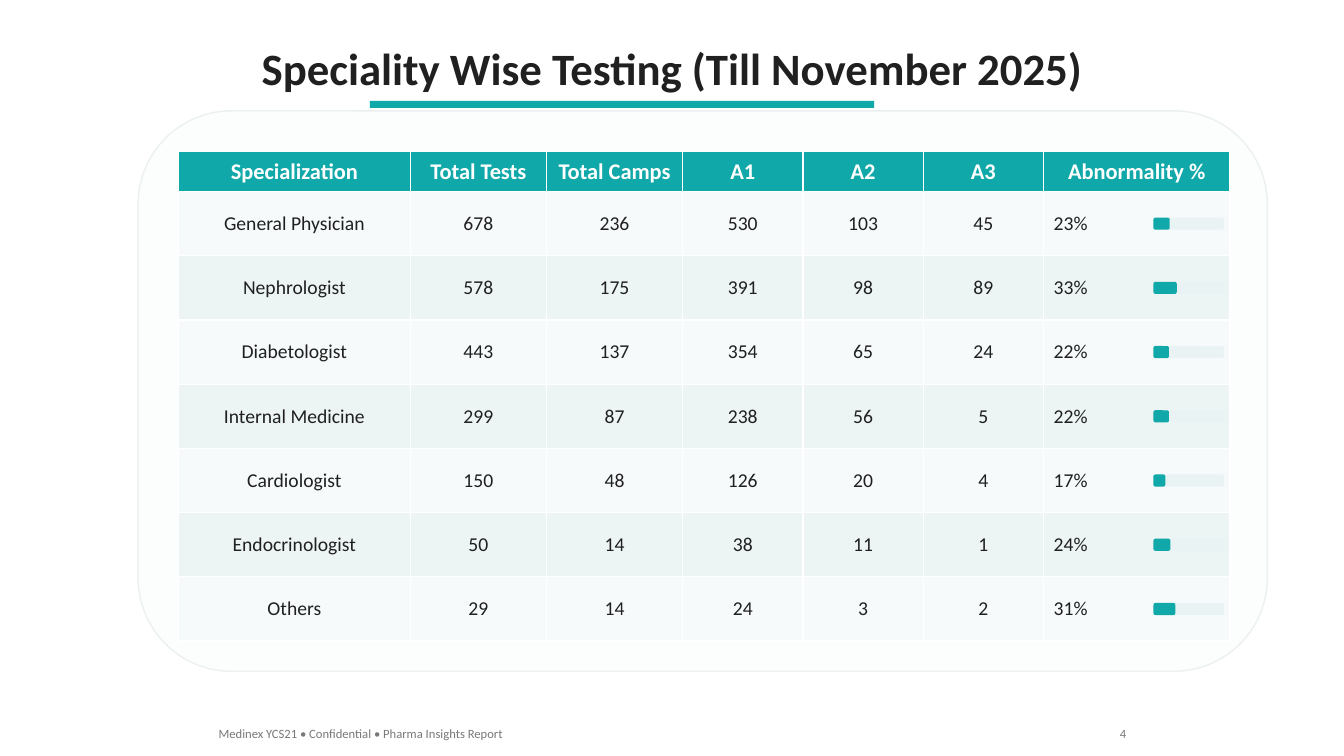
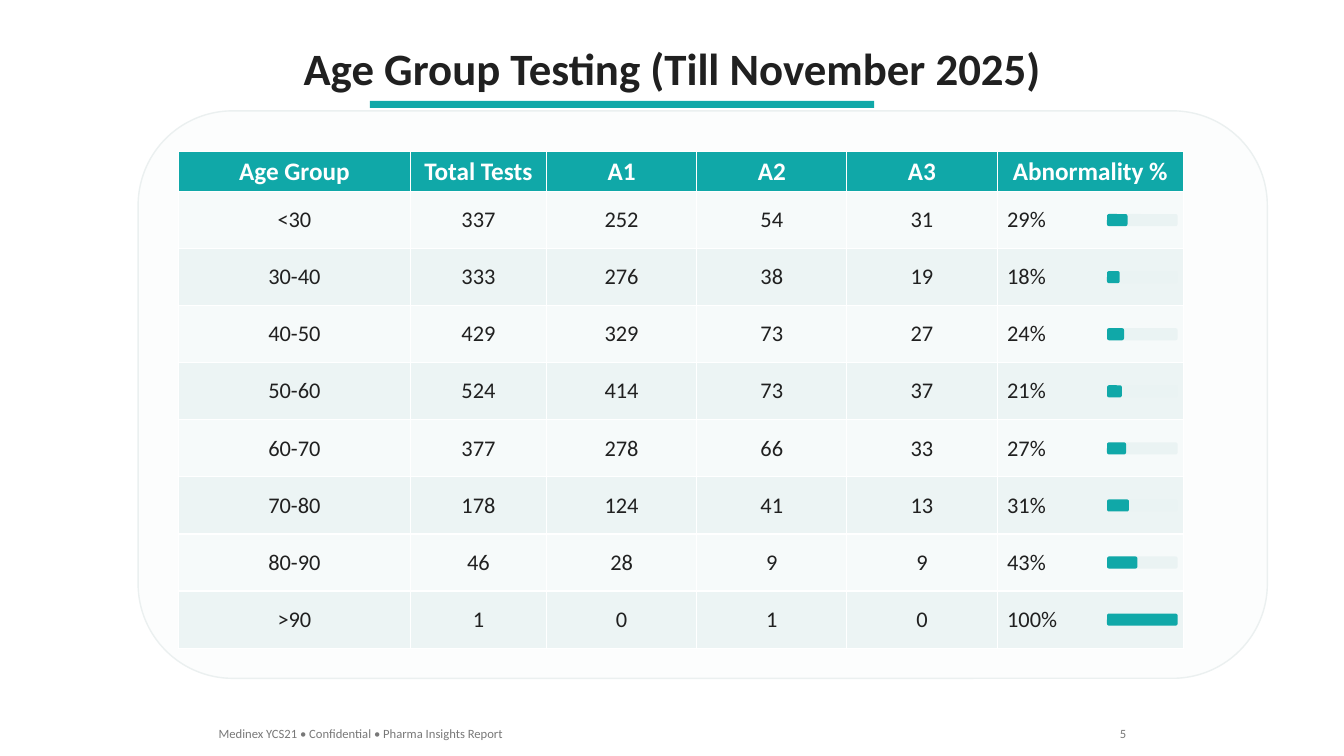
from dataclasses import dataclass

from pptx import Presentation
from pptx.dml.color import RGBColor
from pptx.enum.shapes import MSO_SHAPE
from pptx.enum.text import MSO_ANCHOR, PP_ALIGN
from pptx.util import Inches, Pt

RECT = MSO_SHAPE.RECTANGLE
ROUND = MSO_SHAPE.ROUNDED_RECTANGLE
LEFT, MID, RIGHT = PP_ALIGN.LEFT, PP_ALIGN.CENTER, PP_ALIGN.RIGHT
CENTRE = MSO_ANCHOR.MIDDLE


@dataclass(frozen=True)
class Theme:
    font: str = "Calibri"
    teal: str = "10A8A8"
    ink: str = "202020"
    white: str = "FFFFFF"
    grey: str = "787878"
    card: str = "FCFDFD"
    edge: str = "EBF0F0"
    track: str = "EAF3F3"
    bands: tuple = ("F6FAFA", "ECF4F4")
    title: int = 32
    foot: int = 9


class Deck:
    wide, high = 13.33, 7.5
    left, top, head = 1.77, 1.5, 0.4
    pad = 0.4

    def __init__(self, theme):
        self.theme = theme
        self.prs = Presentation()
        self.prs.slide_width = Inches(self.wide)
        self.prs.slide_height = Inches(self.high)
        self.slide = None

    def run(self, para, text, size, color, bold=False, align=LEFT):
        para.alignment = align
        run = para.add_run()
        run.text = text
        font = run.font
        font.name, font.size, font.bold = self.theme.font, Pt(size), bold
        font.color.rgb = RGBColor.from_string(color)

    def text(self, box, text, size, color, bold=False, align=LEFT):
        shape = self.slide.shapes.add_textbox(*map(Inches, box))
        frame = shape.text_frame
        frame.word_wrap = True
        self.run(frame.paragraphs[0], text, size, color, bold, align)

    def shape(self, kind, box, fill, line=None):
        shape = self.slide.shapes.add_shape(kind, *map(Inches, box))
        shape.shadow.inherit = False
        shape.fill.solid()
        shape.fill.fore_color.rgb = RGBColor.from_string(fill)
        if line:
            shape.line.color.rgb = RGBColor.from_string(line)
            shape.line.width = Pt(1)
        else:
            shape.line.fill.background()

    def page(self, title, number):
        look = self.theme
        self.slide = self.prs.slides.add_slide(self.prs.slide_layouts[6])
        self.text((1.67, 0.35, 10, 0.64), title, look.title, look.ink, True, MID)
        self.shape(RECT, (3.67, 1, 5, 0.07), look.teal)
        self.text((2.07, 7.15, 4, 0.25),
                  "Medinex YCS21 • Confidential • Pharma Insights Report",
                  look.foot, look.grey)
        self.text((10.27, 7.15, 1, 0.25), str(number), look.foot, look.grey,
                  align=RIGHT)

    def panel(self, body):
        look = self.theme
        self.shape(ROUND, (self.left - self.pad, self.top - self.pad, 11.2,
                           self.head + body + 0.7), look.card, look.edge)

    def cell(self, cell, text, fill, size, color, bold, align):
        cell.fill.solid()
        cell.fill.fore_color.rgb = RGBColor.from_string(fill)
        cell.vertical_anchor = CENTRE
        self.run(cell.text_frame.paragraphs[0], text, size, color, bold, align)

    def table(self, names, rows, cols, body, size):
        look = self.theme
        step = body / len(rows)
        grid = self.slide.shapes.add_table(
            len(rows) + 1, len(cols), Inches(self.left), Inches(self.top),
            Inches(sum(cols)), Inches(self.head + body)).table
        for col, width in zip(grid.columns, cols):
            col.width = Inches(width)
        for i, row in enumerate(grid.rows):
            row.height = Inches(step if i else self.head)
        for j, name in enumerate(names):
            self.cell(grid.cell(0, j), name, look.teal, size + 2, look.white,
                      True, MID)
        for i, row in enumerate(rows):
            for j, value in enumerate(row):
                last = j == len(row) - 1
                self.cell(grid.cell(i + 1, j), f"{value}%" if last else str(value),
                          look.bands[i % 2], size, look.ink, False,
                          LEFT if last else MID)

    def bars(self, rates, right, body):
        look = self.theme
        full, thick = 0.7, 0.12
        step = body / len(rates)
        for i, rate in enumerate(rates):
            top = self.top + self.head + i * step + (step - thick) / 2
            if rate < 100:
                self.shape(ROUND, (right - 0.76, top, full, thick), look.track)
            self.shape(ROUND, (right - 0.76, top, full * rate / 100, thick),
                       look.teal)

    def report(self, title, number, names, rows, cols, body, size):
        self.page(title, number)
        self.panel(body)
        self.table(names, rows, cols, body, size)
        self.bars([row[-1] for row in rows], self.left + sum(cols), body)


FIELDS = [
    ("General Physician", 678, 236, 530, 103, 45, 23),
    ("Nephrologist", 578, 175, 391, 98, 89, 33),
    ("Diabetologist", 443, 137, 354, 65, 24, 22),
    ("Internal Medicine", 299, 87, 238, 56, 5, 22),
    ("Cardiologist", 150, 48, 126, 20, 4, 17),
    ("Endocrinologist", 50, 14, 38, 11, 1, 24),
    ("Others", 29, 14, 24, 3, 2, 31),
]
AGES = [
    ("<30", 337, 252, 54, 31, 29),
    ("30-40", 333, 276, 38, 19, 18),
    ("40-50", 429, 329, 73, 27, 24),
    ("50-60", 524, 414, 73, 37, 21),
    ("60-70", 377, 278, 66, 33, 27),
    ("70-80", 178, 124, 41, 13, 31),
    ("80-90", 46, 28, 9, 9, 43),
    (">90", 1, 0, 1, 0, 100),
]
GRADES = ["A1", "A2", "A3", "Abnormality %"]


def main():
    deck = Deck(Theme())
    deck.report("Speciality Wise Testing (Till November 2025)", 4,
                ["Specialization", "Total Tests", "Total Camps"] + GRADES,
                FIELDS, [2.3, 1.35, 1.35] + [3.58 / 3] * 3 + [1.85], 4.46, 14)
    deck.report("Age Group Testing (Till November 2025)", 5,
                ["Age Group", "Total Tests"] + GRADES,
                AGES, [2.3, 1.35] + [1.49] * 3 + [1.85], 4.53, 16)
    deck.prs.save("out.pptx")


if __name__ == "__main__":
    main()
